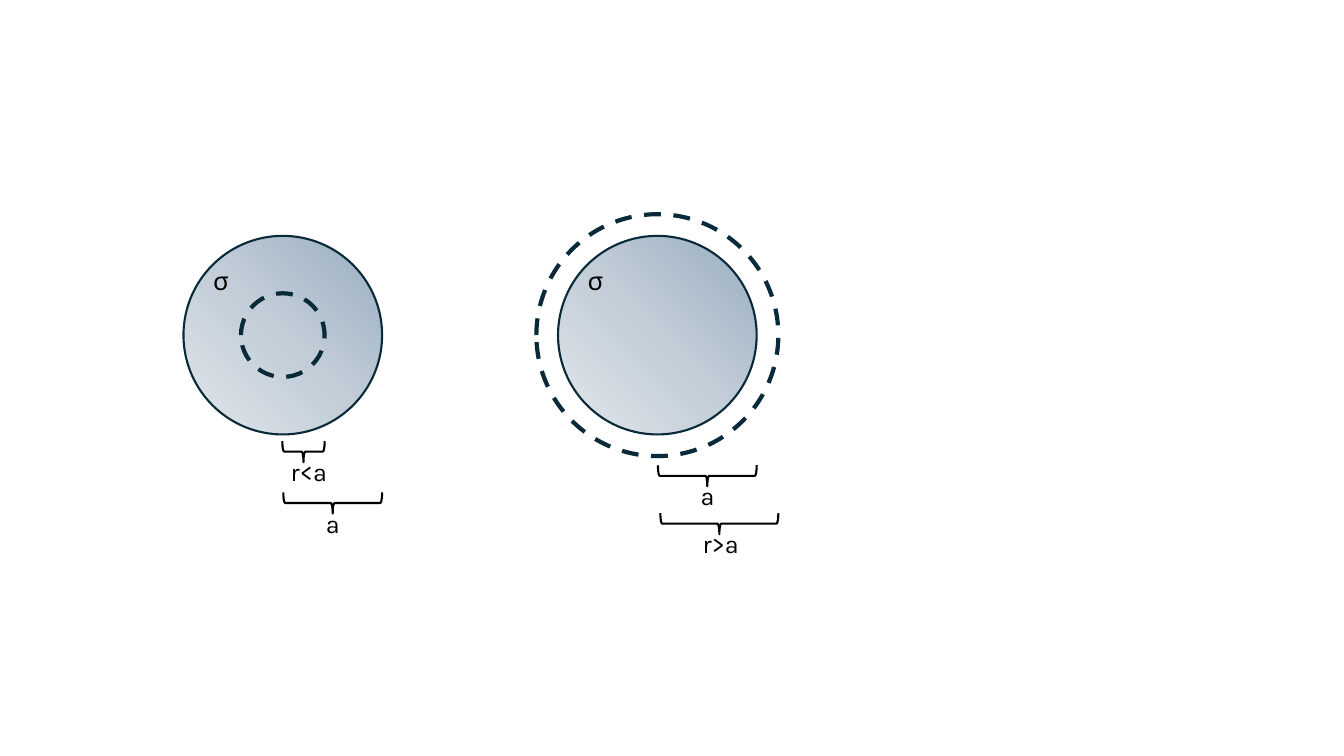
from copy import deepcopy

from pptx import Presentation
from pptx import util as u
from pptx.dml.color import RGBColor
from pptx.enum import dml, shapes, text

COLS, ROWS = 133.3, 75  # grid of square cells, 0.1 inch each
CENTRE_Y = 33.25
SPHERE_RADIUS = 9.85
BRACE_DEPTH = 2.1


def rgb(value):
    return RGBColor.from_string(value)


class Sketch:
    font, size = "Karla", 18
    ink, outline = "000000", "092A39"
    shades = ((0, "98ADC1"), (0.5, "C2CDD7"), (1, "E1E6EB"))

    def __init__(self, prs):
        self.s = prs.slides.add_slide(prs.slide_layouts[6])
        self.cell_w = prs.slide_width / COLS
        self.cell_h = prs.slide_height / ROWS

    def box(self, x, y, w, h):
        return (round(x * self.cell_w), round(y * self.cell_h),
                round(w * self.cell_w), round(h * self.cell_h))

    def shape(self, kind, cx, cy, w, h, color, weight):
        sp = self.s.shapes.add_shape(kind, *self.box(cx - w / 2, cy - h / 2, w, h))
        sp.shadow.inherit = False
        sp.fill.background()
        sp.line.color.rgb = rgb(color)
        sp.line.width = u.Pt(weight)
        return sp

    def circle(self, cx, radius, weight):
        return self.shape(shapes.MSO_SHAPE.OVAL, cx, CENTRE_Y,
                          2 * radius, 2 * radius, self.outline, weight)

    def sphere(self, cx):
        fill = self.circle(cx, SPHERE_RADIUS, 1.5).fill
        fill.gradient()
        fill.gradient_angle = 225
        # The default gradient has two stops; a third is needed
        first = fill.gradient_stops[0]._gs
        first.addnext(deepcopy(first))
        for stop, (position, color) in zip(fill.gradient_stops, self.shades):
            stop.position = position
            stop.color.rgb = rgb(color)

    def dashed_circle(self, cx, radius):
        sp = self.circle(cx, radius, 3)
        sp.line.dash_style = dml.MSO_LINE.DASH

    def brace(self, cx, cy, span):
        sp = self.shape(shapes.MSO_SHAPE.LEFT_BRACE, cx, cy,
                        BRACE_DEPTH, span, self.ink, 1.5)
        sp.rotation = 270

    def label(self, x, y, w, words):
        tf = self.s.shapes.add_textbox(*self.box(x, y, w, 4)).text_frame
        tf.word_wrap = True
        tf.auto_size = text.MSO_AUTO_SIZE.SHAPE_TO_FIT_TEXT
        r = tf.paragraphs[0].add_run()
        r.text = words
        r.font.name = self.font
        r.font.size = u.Pt(self.size)
        r.font.color.rgb = rgb(self.ink)


# Per sphere: centre column, dashed radius, and its measures as
# (text, outer radius, brace span, brace row, label offset, label width)
SPHERES = (
    (28.05, 4.15, (("r<a", 4.15, 4.2, 44.8, 2.25, 8.8),
                   ("a", SPHERE_RADIUS, 9.8, 49.9, 1.65, 4.4))),
    (65.2, 12, (("a", SPHERE_RADIUS, 9.8, 47.2, 1.65, 4.4),
                ("r>a", 12, 11.7, 51.95, 2.65, 8.8))),
)


def main():
    prs = Presentation()
    prs.slide_width, prs.slide_height = u.Inches(13.33), u.Inches(7.5)
    sketch = Sketch(prs)

    for cx, radius, measures in SPHERES:
        # Charged sphere and Gaussian surface
        sketch.sphere(cx)
        sketch.label(cx - 7.9, 25.8, 4.4, "σ")
        sketch.dashed_circle(cx, radius)

        # Radius measures, each brace ending at its outer radius
        for words, reach, span, row, offset, width in measures:
            middle = cx + reach - span / 2
            sketch.brace(middle, row, span)
            sketch.label(middle - offset, row, width, words)

    prs.save("out.pptx")


if __name__ == "__main__":
    main()
